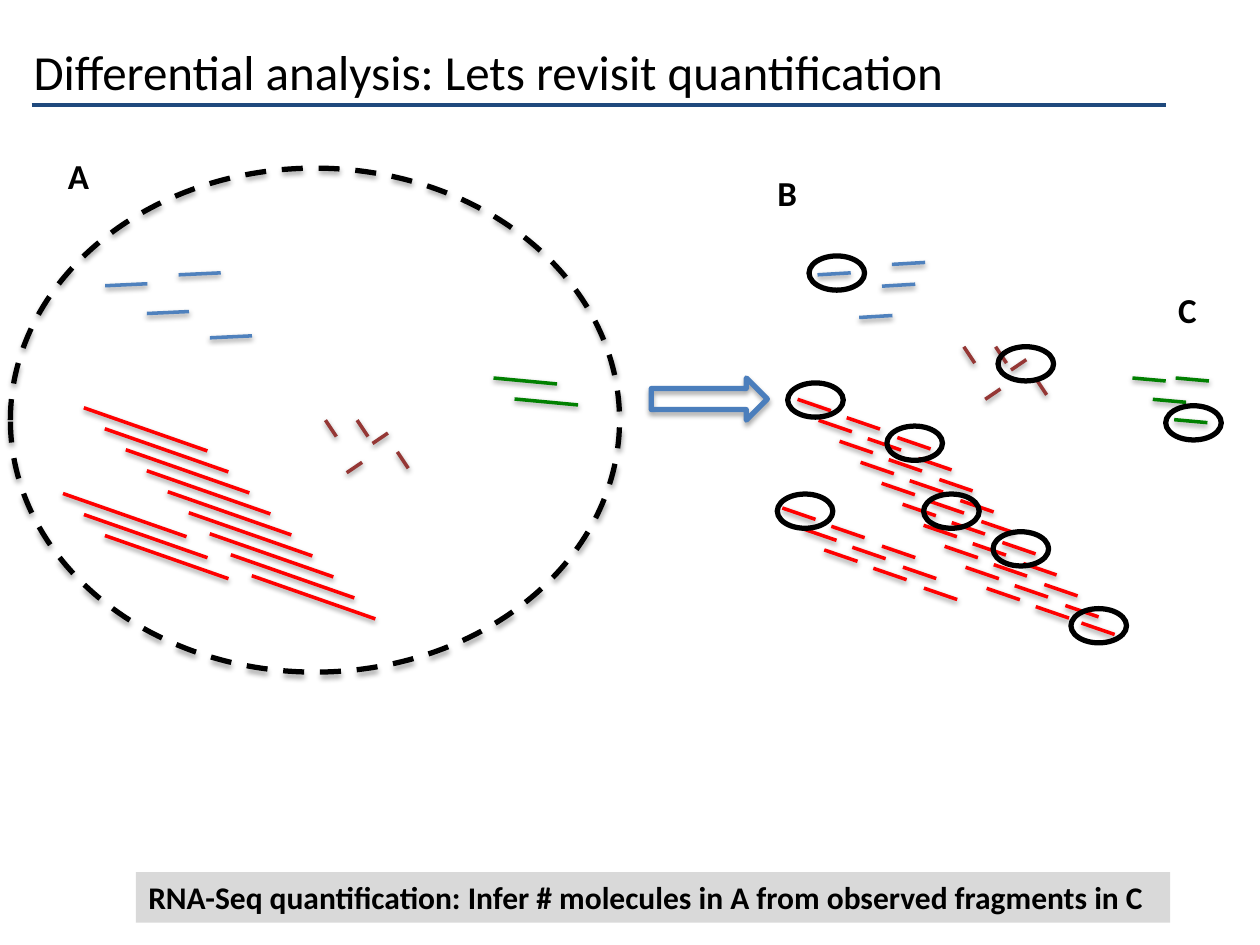
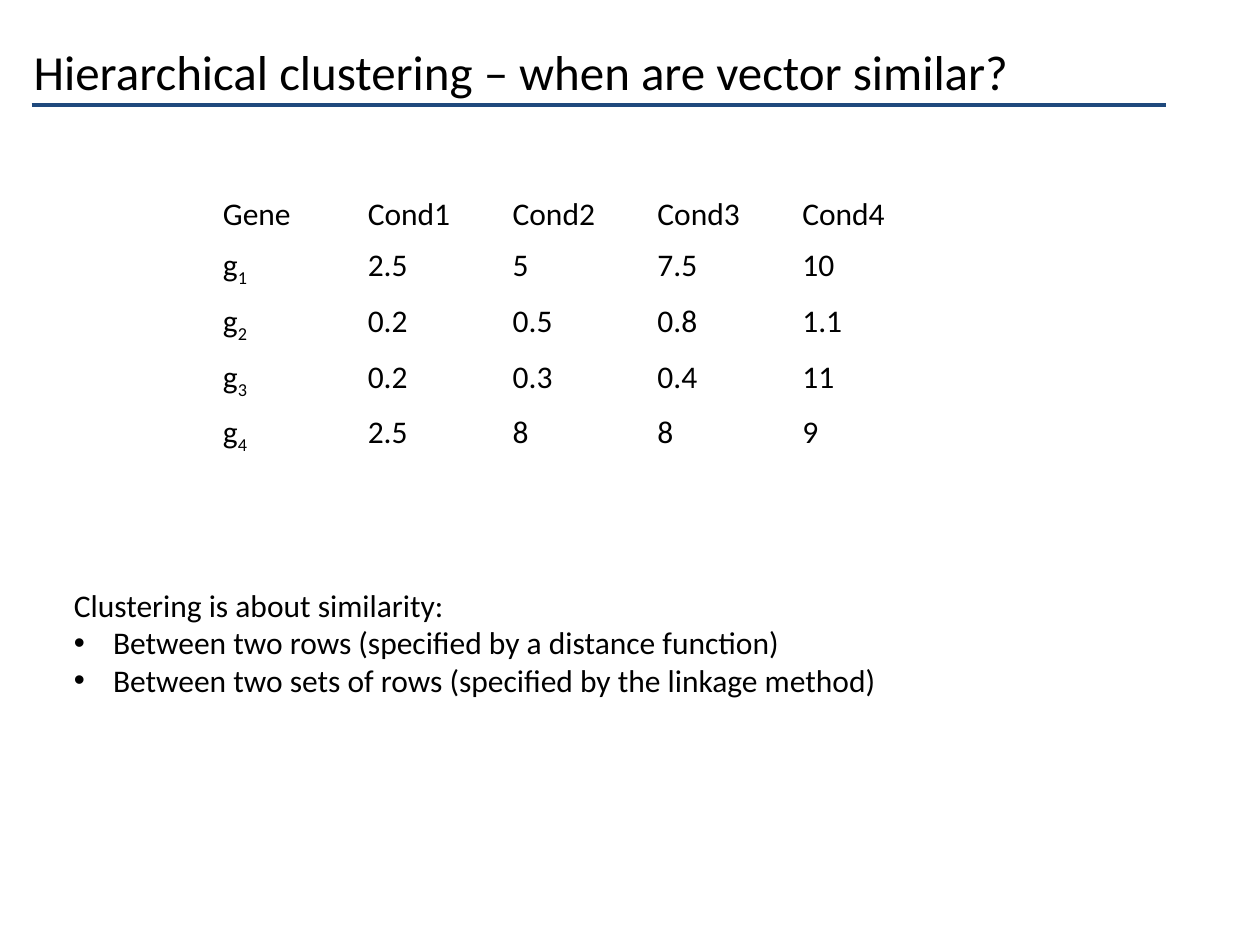
from dataclasses import dataclass

from lxml.etree import SubElement
from pptx import Presentation
from pptx.dml.color import RGBColor
from pptx.enum.dml import MSO_LINE
from pptx.enum.shapes import MSO_CONNECTOR, MSO_SHAPE
from pptx.enum.text import MSO_ANCHOR, PP_ALIGN
from pptx.oxml.ns import qn
from pptx.util import Cm, Pt


@dataclass(frozen=True)
class Theme:
    font: str = "Calibri"
    text: str = "000000"
    rule: str = "1F497D"
    arrow: str = "4B7EBC"
    band: str = "D9D9D9"
    blue: str = "4F81BD"
    brown: str = "953735"
    green: str = "008000"
    red: str = "FF0000"
    title_size: float = 28
    label_size: float = 20
    body_size: float = 18
    rule_width: float = 2.25
    strand_width: float = 2
    outline_width: float = 3


class Deck:
    """Holds the theme and the current slide; all positions are in centimetres."""

    def __init__(self, theme):
        self.theme = theme
        self.presentation = Presentation()
        self.presentation.slide_width = Cm(25.4)
        self.presentation.slide_height = Cm(19.05)
        self.slide = None

    def add_slide(self, title):
        self.slide = self.presentation.slides.add_slide(self.presentation.slide_layouts[6])
        self.line((0.64, 2.11), (22.86, 0), self.theme.rule, self.theme.rule_width)
        self.text((0.43, 0.64, 22.86, 1.57), title, self.theme.title_size,
                  anchor=MSO_ANCHOR.MIDDLE)

    def set_effects(self, element, shadow_opacity=0, distance=0):
        properties = element.find(qn("p:spPr"))
        for effects in properties.findall(qn("a:effectLst")):
            properties.remove(effects)
        effects = SubElement(properties, qn("a:effectLst"))
        if shadow_opacity:
            shadow = SubElement(effects, qn("a:outerShdw"), blurRad=str(Pt(3.1)),
                                dist=str(Pt(distance)), dir="5400000", rotWithShape="0")
            color = SubElement(shadow, qn("a:srgbClr"), val=self.theme.text)
            SubElement(color, qn("a:alpha"), val=str(shadow_opacity * 1000))

    def line(self, start, delta, color, width, shadow_opacity=0):
        (x, y), (dx, dy) = start, delta
        connector = self.slide.shapes.add_connector(
            MSO_CONNECTOR.STRAIGHT, Cm(x), Cm(y), Cm(x + dx), Cm(y + dy))
        connector.line.color.rgb = RGBColor.from_string(color)
        connector.line.width = Pt(width)
        self.set_effects(connector._element, shadow_opacity, 1.6)

    def strand(self, start, delta, color):
        self.line(start, delta, color, self.theme.strand_width, shadow_opacity=38)

    def staircase(self, start, rows, delta, color, pieces=((0, 0),)):
        """Repeat a row of strands, each row one step right and down."""
        step = 25.4 / 60
        for row in range(rows):
            for dx, dy in pieces:
                self.strand((start[0] + row * step + dx, start[1] + row * step + dy),
                            delta, color)

    def outline(self, preset, box, color, shadow_opacity=0, dashed=False):
        shape = self.slide.shapes.add_shape(preset, *map(Cm, box))
        shape.fill.background()
        shape.line.color.rgb = RGBColor.from_string(color)
        shape.line.width = Pt(self.theme.outline_width)
        if dashed:
            shape.line.dash_style = MSO_LINE.DASH
        self.set_effects(shape._element, shadow_opacity, 1.8)

    def run(self, paragraph, text, size, bold=False, subscript=False):
        run = paragraph.add_run()
        run.text = text
        run.font.name = self.theme.font
        run.font.size = Pt(size)
        run.font.bold = bold
        run.font.color.rgb = RGBColor.from_string(self.theme.text)
        if subscript:
            run._r.get_or_add_rPr().set("baseline", "-25000")

    def text(self, box, text, size, bold=False, anchor=MSO_ANCHOR.TOP, bullets=()):
        shape = self.slide.shapes.add_textbox(*map(Cm, box))
        frame = shape.text_frame
        frame.word_wrap = True
        frame.vertical_anchor = anchor
        self.run(frame.paragraphs[0], text, size, bold)
        for bullet in bullets:
            paragraph = frame.add_paragraph()
            properties = paragraph._p.get_or_add_pPr()
            properties.set("marL", str(Cm(0.79)))
            properties.set("indent", str(-Cm(0.79)))
            SubElement(properties, qn("a:buFont"), typeface="Arial")
            SubElement(properties, qn("a:buChar"), char="•")
            self.run(paragraph, bullet, size)
        return shape

    def banner(self, box, text):
        shape = self.text(box, text, self.theme.body_size, bold=True)
        shape.fill.solid()
        shape.fill.fore_color.rgb = RGBColor.from_string(self.theme.band)

    def table(self, left, top, column_width, row_heights, rows):
        """Draw a plain table; a (base, index) pair becomes a subscripted name."""
        frame = self.slide.shapes.add_table(
            len(rows), len(rows[0]), Cm(left), Cm(top),
            Cm(column_width * len(rows[0])), Cm(sum(row_heights)))
        table = frame.table
        table.first_row = False
        table.horz_banding = False
        for column in table.columns:
            column.width = Cm(column_width)
        for row, height, values in zip(table.rows, row_heights, rows):
            row.height = Cm(height)
            for cell, value in zip(row.cells, values):
                cell.fill.background()
                paragraph = cell.text_frame.paragraphs[0]
                paragraph.alignment = PP_ALIGN.LEFT
                base, index = value if isinstance(value, tuple) else (value, "")
                self.run(paragraph, base, self.theme.body_size)
                if index:
                    self.run(paragraph, index, self.theme.body_size, subscript=True)


def short_transcripts(deck, x, y):
    """The cluster of five short strands, the same in cell and library."""
    falling, rising = (0.22, 0.33), (0.31, -0.21)
    for dx, dy, delta in ((0.64, 0, falling), (0, 0, falling), (0.95, 0.47, rising),
                          (1.45, 0.64, falling), (0.43, 1.06, rising)):
        deck.strand((x + dx, y + dy), delta, deck.theme.brown)


def build_quantification(deck):
    theme = deck.theme
    deck.add_slide("Differential analysis: Lets revisit quantification")

    # Cell A with whole molecules
    deck.outline(MSO_SHAPE.OVAL, (0.21, 3.39, 12.28, 10.16), theme.text,
                 shadow_opacity=35, dashed=True)
    for start in ((2.12, 5.76), (4.23, 6.81), (2.96, 6.32), (3.6, 5.54)):
        deck.strand(start, (0.85, -0.04), theme.blue)
    deck.staircase((9.95, 7.62), 2, (1.28, 0.12), theme.green)
    for start, rows in (((1.69, 8.22), 9), ((1.27, 9.95), 3)):
        deck.staircase(start, rows, (2.49, 0.87), theme.red)
    short_transcripts(deck, 6.56, 8.47)

    # Library B with fragments
    fragments = ((0, 0), (0.99, 0.37), (2.01, 0.77))
    last_fragments = ((0, 0), (0.99, 0.37), (1.91, 0.7))
    for start, rows, pieces in (((16.08, 8.05), 9, fragments),
                                ((19.89, 11.86), 1, last_fragments),
                                ((15.77, 10.24), 3, fragments)):
        deck.staircase(start, rows, (0.67, 0.23), theme.red, pieces)
    for start in ((16.48, 5.54), (17.98, 5.33), (17.32, 6.4), (17.78, 5.77)):
        deck.strand(start, (0.67, -0.04), theme.blue)
    for start in ((22.83, 7.62), (23.7, 7.62), (23.24, 8.05), (23.67, 8.46)):
        deck.strand(start, (0.67, 0.06), theme.green)
    short_transcripts(deck, 19.43, 6.99)

    # Arrow from A to B
    deck.outline(MSO_SHAPE.RIGHT_ARROW, (13.13, 7.62, 2.34, 0.85), theme.arrow,
                 shadow_opacity=35)

    # Observed fragments C
    for x, y in ((15.67, 9.96), (15.88, 7.72), (18.62, 9.96), (16.31, 5.16), (20.12, 6.99),
                 (23.5, 8.18), (21.59, 12.27), (20.02, 10.72), (17.88, 8.59)):
        deck.outline(MSO_SHAPE.OVAL, (x, y, 1.12, 0.69), theme.text)

    # Conclusion and panel labels
    deck.banner((2.74, 17.58, 20.85, 1.02),
                "RNA-Seq quantification: Infer # molecules in A from observed fragments in C")
    for label, x, y in (("A", 1.12, 3), ("B", 15.42, 3.33), ("C", 23.5, 5.69)):
        deck.text((x, y, 0.99, 1.12), label, theme.label_size, bold=True)


def build_clustering(deck):
    deck.add_slide("Hierarchical clustering – when are vector similar?")

    # Expression of each gene by condition
    deck.table(4.24, 3.81, 2.92, (1.04, 1.12, 1.04, 1.04, 1.04), (
        ("Gene", "Cond1", "Cond2", "Cond3", "Cond4"),
        (("g", "1"), "2.5", "5", "7.5", "10"),
        (("g", "2"), "0.2", "0.5", "0.8", "1.1"),
        (("g", "3"), "0.2", "0.3", "0.4", "11"),
        (("g", "4"), "2.5", "8", "8", "9")))

    # What similarity means
    deck.text((1.24, 11.68, 16.97, 2.57), "Clustering is about similarity:",
              deck.theme.body_size, bullets=(
                  "Between two rows (specified by a distance function)",
                  "Between two sets of rows (specified by the linkage method)"))


def main():
    deck = Deck(Theme())
    build_quantification(deck)
    build_clustering(deck)
    deck.presentation.save("out.pptx")


if __name__ == "__main__":
    main()
